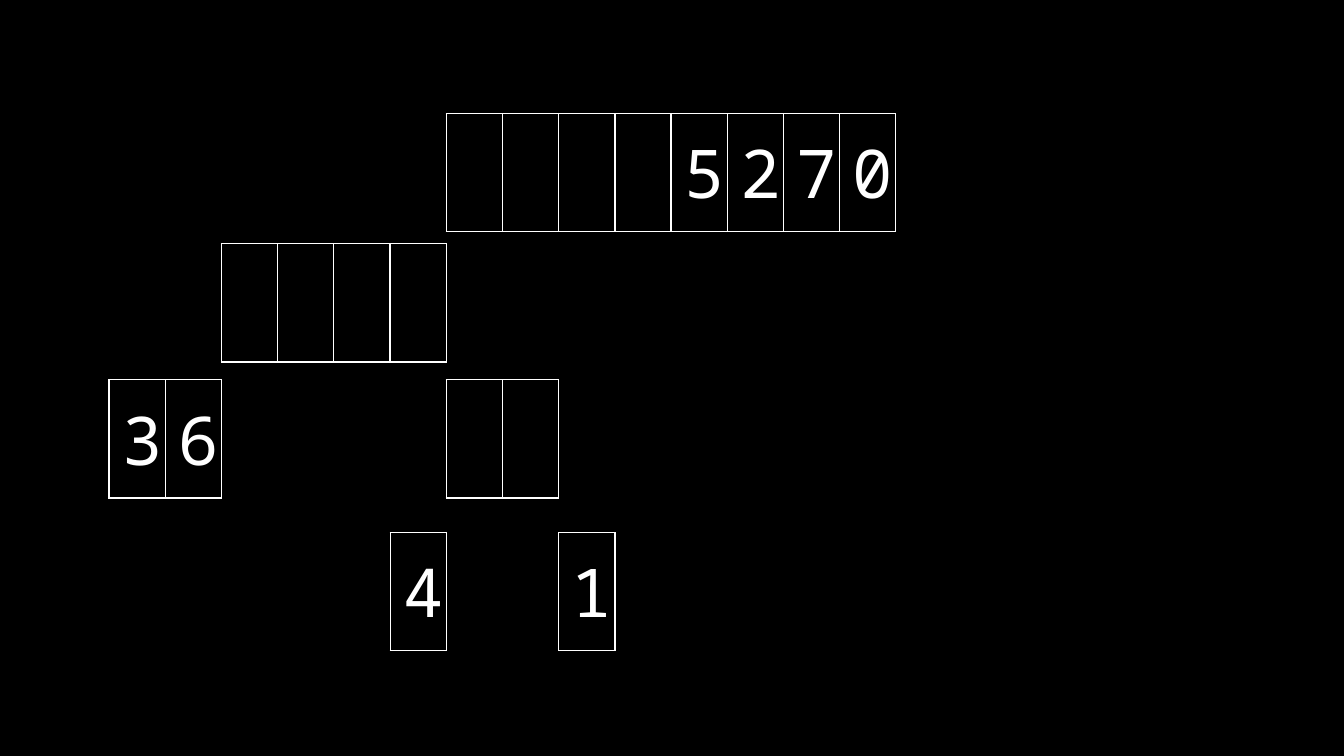
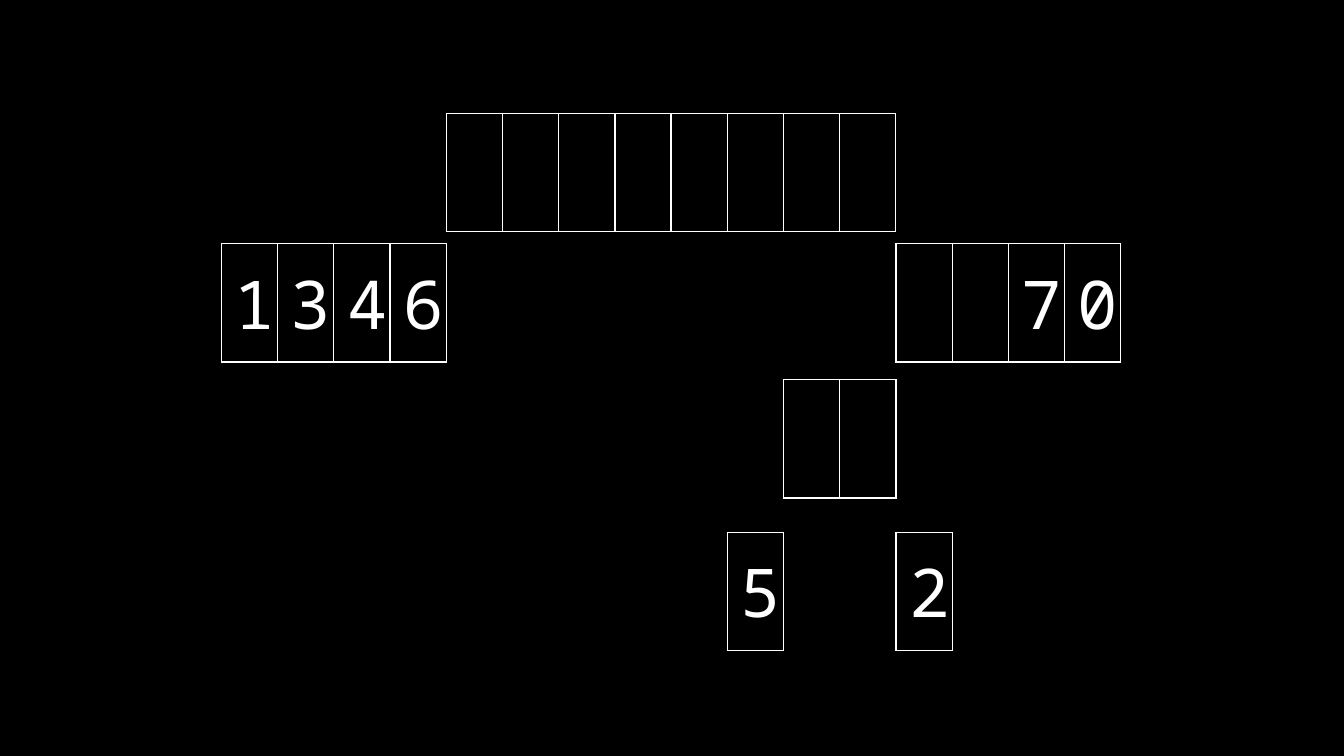
from lxml.etree import SubElement
from pptx import Presentation
from pptx.dml.color import RGBColor
from pptx.enum.text import MSO_ANCHOR, PP_ALIGN
from pptx.oxml.ns import qn
from pptx.util import Cm, Pt

# Content: (level, first grid column, cells); "_" marks an empty cell
SLIDES = [
    [
        (0, 6, "____5270"),
        (1, 2, "____"),
        (2, 0, "36"),
        (2, 6, "__"),
        (3, 5, "4"),
        (3, 8, "1"),
    ],
    [
        (0, 6, "________"),
        (1, 2, "1346"),
        (1, 14, "__70"),
        (2, 12, "__"),
        (3, 11, "5"),
        (3, 14, "2"),
    ],
]

# Shared look
BLACK = RGBColor(0x00, 0x00, 0x00)
WHITE = RGBColor(0xFF, 0xFF, 0xFF)
FONT = "Noto Sans Mono"
SIZE = Pt(36)
BORDER = Pt(0.75)
INSET = Cm(0.25)

# Grid
LEFT = Cm(2.06)
CELL_W = Cm(8.5) // 8
ROW_H = Cm(0.81)
FRAME = Cm(8.33)
LEVEL_TOPS = [Cm(2.15), Cm(4.61), Cm(7.18), Cm(10.07)]


def add_borders(cell):
    tcPr = cell._tc.get_or_add_tcPr()
    for side in ("a:lnL", "a:lnR", "a:lnT", "a:lnB"):
        ln = SubElement(tcPr, qn(side), w=str(BORDER))
        fill = SubElement(ln, qn("a:solidFill"))
        SubElement(fill, qn("a:srgbClr"), val=str(WHITE))


def fill_cell(cell, digit):
    add_borders(cell)
    cell.fill.background()
    cell.vertical_anchor = MSO_ANCHOR.MIDDLE
    cell.margin_left = cell.margin_right = INSET
    cell.margin_top = cell.margin_bottom = INSET
    p = cell.text_frame.paragraphs[0]
    p.alignment = PP_ALIGN.CENTER
    if digit == "_":
        # An empty cell keeps the height of a digit
        end = SubElement(p._p, qn("a:endParaRPr"), sz=str(int(SIZE.pt * 100)))
        SubElement(end, qn("a:latin"), typeface=FONT)
        return
    r = p.add_run()
    r.text = digit
    r.font.name = FONT
    r.font.size = SIZE
    r.font.color.rgb = WHITE


def add_array(s, level, column, digits):
    frame = s.shapes.add_table(1, len(digits), LEFT + column * CELL_W,
                               LEVEL_TOPS[level], FRAME, FRAME)
    table = frame.table
    table.first_row = table.horz_banding = False
    table.rows[0].height = ROW_H
    for i, digit in enumerate(digits):
        table.columns[i].width = CELL_W
        fill_cell(table.cell(0, i), digit)
    frame.width = frame.height = FRAME


def main():
    prs = Presentation()
    prs.slide_width, prs.slide_height = Cm(25.4), Cm(14.29)
    for arrays in SLIDES:
        s = prs.slides.add_slide(prs.slide_layouts[6])
        s.background.fill.solid()
        s.background.fill.fore_color.rgb = BLACK
        for level, column, digits in arrays:
            add_array(s, level, column, digits)
    prs.save("out.pptx")


if __name__ == "__main__":
    main()
